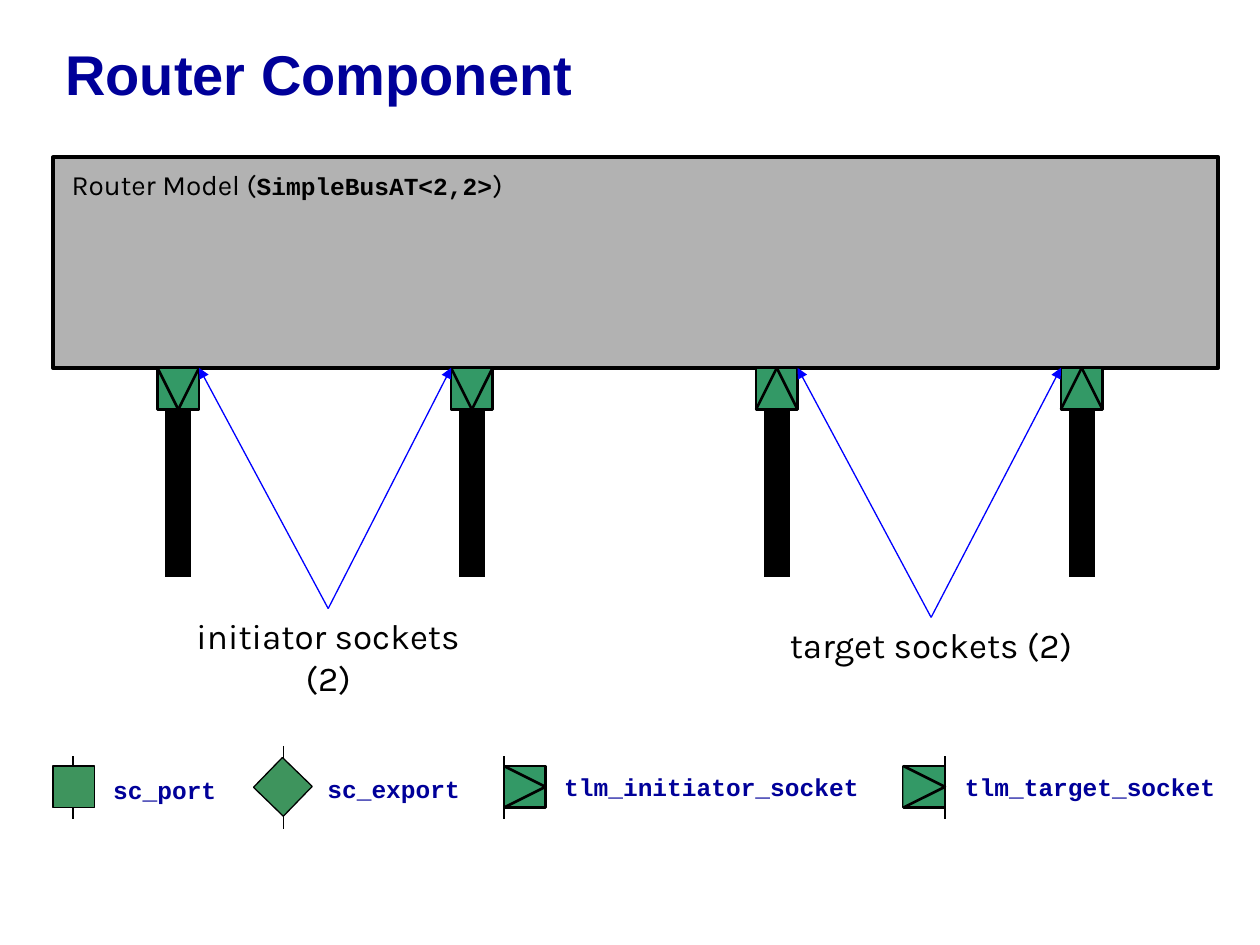
"""Build the Router Component slide with its sockets and symbol legend."""
from lxml import etree
from pptx import Presentation
from pptx.dml.color import RGBColor
from pptx.enum.shapes import MSO_CONNECTOR, MSO_SHAPE
from pptx.enum.text import MSO_ANCHOR, MSO_AUTO_SIZE, PP_ALIGN
from pptx.oxml.ns import qn
from pptx.util import Inches, Pt

STRAIGHT = MSO_CONNECTOR.STRAIGHT
RECTANGLE = MSO_SHAPE.RECTANGLE
MIDDLE = MSO_ANCHOR.MIDDLE
FIT_SHAPE = MSO_AUTO_SIZE.SHAPE_TO_FIT_TEXT
LEFT, CENTER = PP_ALIGN.LEFT, PP_ALIGN.CENTER
TOP_SIDE, BOTTOM_SIDE = 0, 2

COLORS = {
    "navy": "000099",
    "black": "000000",
    "blue": "0000FF",
    "gray": "B2B2B2",
    "socket": "339966",
    "port": "3E945D",
}
SIDE = 0.33
SOCKET_TOP = 2.92
LEGEND_TOP = 6.08

deck = Presentation()
deck.slide_width, deck.slide_height = Inches(10), Inches(7.5)
page = deck.slides.add_slide(deck.slide_layouts[6])


def add_line(x1, y1, x2, y2, width=0.75, color="black"):
    line = page.shapes.add_connector(STRAIGHT, Inches(x1), Inches(y1), Inches(x2), Inches(y2))
    line.line.width = Pt(width)
    line.line.color.rgb = RGBColor.from_string(COLORS[color])
    etree.SubElement(line._element.spPr, qn("a:effectLst"))
    return line


def add_text(left, top, width, height, spans, wrap=False, align=LEFT):
    box = page.shapes.add_textbox(Inches(left), Inches(top), Inches(width), Inches(height))
    box.text_frame.word_wrap = wrap
    box.text_frame.auto_size = FIT_SHAPE
    para = box.text_frame.paragraphs[0]
    para.alignment = align
    for text, font, size, color, bold in spans:
        span = para.add_run()
        span.text = text
        span.font.name, span.font.size, span.font.bold = font, Pt(size), bold
        span.font.color.rgb = RGBColor.from_string(COLORS[color])
    return box


title = add_text(0.42, 0, 9.5, 1.25, [("Router Component", "Arial", 32, "navy", True)], True)
title.text_frame.auto_size = MSO_AUTO_SIZE.NONE
title.text_frame.vertical_anchor = MIDDLE
title.text_frame.paragraphs[0].line_spacing = 0.85
title.height = Inches(1.25)

for left, stem_x, stem_top, stem_bottom, angle in [(0.42, 0.58, 6, 6.5, 0), (2.08, 2.25, 5.92, 6.58, 44.1)]:
    add_line(stem_x, stem_top, stem_x, stem_bottom)
    port = page.shapes.add_shape(RECTANGLE, Inches(left), Inches(LEGEND_TOP), Inches(SIDE), Inches(SIDE))
    port.rotation = angle
    port.shadow.inherit = False
    port.fill.solid()
    port.fill.fore_color.rgb = RGBColor.from_string(COLORS["port"])
    port.line.color.rgb = RGBColor.from_string(COLORS["black"])
    port.line.width = Pt(0.75)

router = page.shapes.add_shape(RECTANGLE, Inches(0.42), Inches(1.25), Inches(9.25), Inches(1.67))
router.shadow.inherit = False
router.fill.solid()
router.fill.fore_color.rgb = RGBColor.from_string(COLORS["gray"])
router.line.color.rgb = RGBColor.from_string(COLORS["black"])
router.line.width = Pt(2.25)

model = add_text(0.47, 1.33, 5.78, 0.32, [
    ("Router Model (", "Karla", 16, "black", False),
    ("SimpleBusAT<2,2>", "Courier New", 14, "black", True),
    (")", "Karla", 16, "black", False),
], True)
model.text_frame.paragraphs[0].line_spacing = 0.8
model.text_frame.paragraphs[0].space_before = Pt(10)

sockets = {}
socket_places = [(x, SOCKET_TOP) for x in (1.25, 3.58, 6, 8.42)] + [(x, LEGEND_TOP) for x in (4, 7.17)]
for left, top in socket_places:
    socket = page.shapes.add_shape(RECTANGLE, Inches(left), Inches(top), Inches(SIDE), Inches(SIDE))
    socket.shadow.inherit = False
    socket.fill.solid()
    socket.fill.fore_color.rgb = RGBColor.from_string(COLORS["socket"])
    socket.line.color.rgb = RGBColor.from_string(COLORS["black"])
    socket.line.width = Pt(1.5)
    sockets[left] = socket

for left, tip_y, base_y in [(1.25, 3.25, 2.92), (3.58, 3.25, 2.92), (6, 2.92, 3.25), (8.42, 2.92, 3.25)]:
    middle = left + SIDE / 2
    bus = add_line(middle, 3.25, middle, 4.58, 15)
    bus.begin_connect(sockets[left], BOTTOM_SIDE)
    for corner in (left, left + SIDE):
        add_line(corner, base_y, middle, tip_y, 1.5)

for left, stem_x in [(4, 4), (7.17, 7.5)]:
    outline = page.shapes.build_freeform(Inches(left), Inches(LEGEND_TOP), scale=1.0)
    outline.add_line_segments([
        (Inches(left + SIDE), Inches(LEGEND_TOP + SIDE / 2)),
        (Inches(left), Inches(LEGEND_TOP + SIDE)),
    ], close=False)
    wedge = outline.convert_to_shape()
    wedge.shadow.inherit = False
    wedge.fill.solid()
    wedge.fill.fore_color.rgb = RGBColor.from_string(COLORS["socket"])
    wedge.line.color.rgb = RGBColor.from_string(COLORS["black"])
    wedge.line.width = Pt(1.5)
    add_line(stem_x, 6, stem_x, 6.5)

for name, left, top, width in [
    ("sc_port", 0.8, 6.1, 1.02),
    ("sc_export", 2.5, 6.09, 1.25),
    ("tlm_initiator_socket", 4.38, 6.08, 2.54),
    ("tlm_target_socket", 7.56, 6.08, 2.19),
]:
    add_text(left, top, width, 0.34, [(name, "Courier New", 14, "navy", True)])

for name, left, top, width, wrap, targets in [
    ("initiator sockets (2)", 1.27, 4.83, 2.67, True, (1.58, 3.58)),
    ("target sockets (2)", 6.17, 4.9, 2.44, False, (6.33, 8.42)),
]:
    label = add_text(left, top, width, 0.44, [(name, "Karla", 20, "black", False)], wrap, CENTER)
    for target in targets:
        arrow = add_line(left + width / 2, top, target, SOCKET_TOP, 0.75, "blue")
        arrow.begin_connect(label, TOP_SIDE)
        etree.SubElement(arrow.line._get_or_add_ln(), qn("a:tailEnd"), type="triangle")

deck.save("out.pptx")
